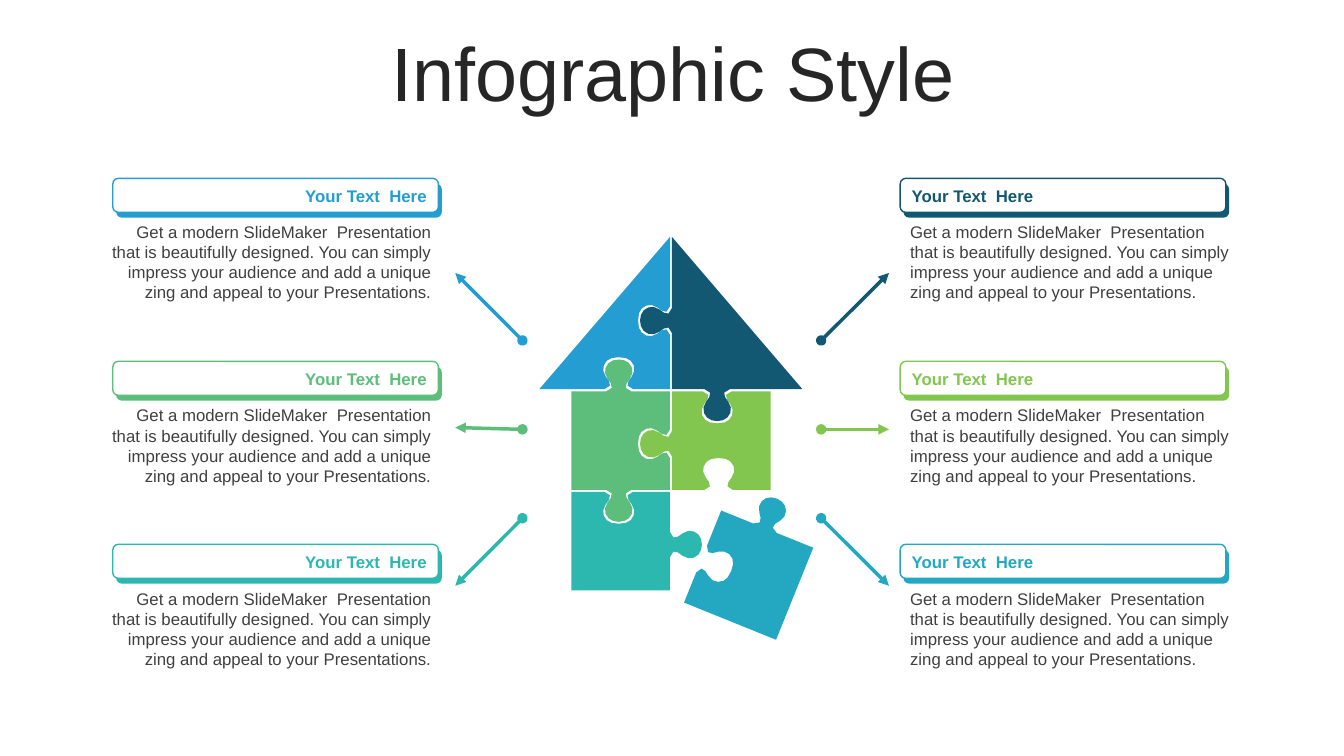
import math

import lxml.etree
import pptx
import pptx.dml.color
import pptx.enum.shapes
import pptx.enum.text
import pptx.oxml.ns
import pptx.util

Pt = pptx.util.Pt
ALIGN = pptx.enum.text.PP_ALIGN
SHAPE = pptx.enum.shapes.MSO_SHAPE
BLUE, NAVY, GREEN = "249ED2", "135873", "5CBE7A"
LIME, TEAL, CYAN = "82C650", "2CB8AE", "24A8C2"
HEADING = "Your Text  Here"
DESCRIPTION = ("Get a modern SlideMaker  Presentation that is beautifully designed. "
               "You can simply impress your audience and add a unique zing and "
               "appeal to your Presentations.")
GAP = 1.3
TAB, SOCKET = 1, -1
KNOB_START = (-9, 0)
KNOB_CURVES = [
    (1, (-8, 0), (-6, 1), (-5, 2.5)),
    (2, (-4.4, 4.5), (-6.4, 7), (-8, 9)),
    (2, (-10, 11.2), (-10.2, 14.8), (-9.4, 17)),
    (3, (-8, 21), (-4, 22.8), (0, 22.8)),
]


def rgb(color):
    """Return a colour object for a hex string."""
    return pptx.dml.color.RGBColor.from_string(color)


def style_shape(s, fill, line=None):
    """Give a shape a flat fill and an optional outline."""
    s.shadow.inherit = False
    s.fill.solid()
    s.fill.fore_color.rgb = rgb(fill)
    if line:
        s.line.color.rgb = rgb(line)
        s.line.width = Pt(1)
    else:
        s.line.fill.background()


def write_text(s, text, size, color, align, bold=False):
    """Write one formatted paragraph into a shape and return it."""
    tf = s.text_frame
    tf.word_wrap = True
    tf.text = text
    p = tf.paragraphs[0]
    p.alignment = align
    r = p.runs[0]
    r.font.name = "Arial"
    r.font.size = Pt(size)
    r.font.bold = bold
    r.font.color.rgb = rgb(color)
    return p


def add_title(slide, text):
    """Add the centred slide title."""
    s = slide.shapes.add_textbox(Pt(25), Pt(26.6), Pt(911.5), Pt(57))
    p = write_text(s, text, 54, "262626", ALIGN.CENTER)
    p.line_spacing = 0.9
    p.space_before = Pt(10)
    s.text_frame.vertical_anchor = pptx.enum.text.MSO_ANCHOR.MIDDLE


def add_header(slide, x, y, color, align):
    """Add a rounded white label over its coloured offset bar."""
    shapes = slide.shapes
    bar = shapes.add_shape(SHAPE.ROUNDED_RECTANGLE, Pt(x + 2.4), Pt(y + 3.8), Pt(232.6), Pt(24.3))
    style_shape(bar, color)
    label = shapes.add_shape(SHAPE.ROUNDED_RECTANGLE, Pt(x), Pt(y), Pt(232.6), Pt(24.3))
    style_shape(label, "FFFFFF", color)
    write_text(label, HEADING, 12, color, align, True)


def add_description(slide, x, y, align):
    """Add a block of body text."""
    s = slide.shapes.add_textbox(Pt(x), Pt(y), Pt(244), Pt(65.5))
    write_text(s, DESCRIPTION, 12, "404040", align)


def add_arrow(slide, start, end, color):
    """Add an arrow with a round tail."""
    ends = [Pt(v) for v in (*start, *end)]
    c = slide.shapes.add_connector(pptx.enum.shapes.MSO_CONNECTOR.STRAIGHT, *ends)
    c.line.color.rgb = rgb(color)
    c.line.width = Pt(2.5)
    qn = pptx.oxml.ns.qn
    ln = c.line._get_or_add_ln()
    lxml.etree.SubElement(ln, qn("a:headEnd"), type="oval")
    lxml.etree.SubElement(ln, qn("a:tailEnd"), type="triangle")
    lxml.etree.SubElement(c._element.spPr, qn("a:effectLst"))


def bezier(steps, *controls):
    """Sample a cubic curve after its start point."""
    points = []
    for i in range(1, steps + 1):
        t = i / steps
        weights = ((1 - t) ** 3, 3 * t * (1 - t) ** 2, 3 * t * t * (1 - t), t ** 3)
        points.append(tuple(sum(w * q[k] for w, q in zip(weights, controls))
                            for k in (0, 1)))
    return points


def knob(kind):
    """Return a knob outline as offsets along and out of an edge."""
    half = [KNOB_START]
    for steps, *controls in KNOB_CURVES:
        half += bezier(steps, half[-1], *controls)
    mirrored = [(-u, v) for u, v in reversed(half[:-1])]
    if kind == TAB:
        return half + mirrored
    return [(u + math.copysign(GAP, u) * (u != 0), -v) for u, v in half + mirrored]


def square(x, y, side, angle=0):
    """Return clockwise corners of a square turned about its first corner."""
    dx, dy = side * math.cos(math.radians(angle)), side * math.sin(math.radians(angle))
    return [(x, y), (x + dx, y + dy), (x + dx - dy, y + dy + dx), (x - dy, y + dx)]


def add_piece(slide, corners, knobs, color):
    """Add a puzzle piece; knobs maps an edge to its distance and kind."""
    points = []
    for i, (x, y) in enumerate(corners):
        points.append((x, y))
        if i in knobs:
            distance, kind = knobs[i]
            x2, y2 = corners[(i + 1) % len(corners)]
            length = math.hypot(x2 - x, y2 - y)
            dx, dy = (x2 - x) / length, (y2 - y) / length
            points += [(x + dx * (distance + u) + dy * v, y + dy * (distance + u) - dx * v)
                       for u, v in knob(kind)]
    points = [(Pt(x), Pt(y)) for x, y in points]
    builder = slide.shapes.build_freeform(*points[0])
    builder.add_line_segments(points[1:], close=True)
    style_shape(builder.convert_to_shape(), color)


def add_house(slide):
    """Add the six puzzle pieces of the house."""
    left, right, side = 408.2, 480, 70.4
    wall, base, apex, eaves = 279.6, 351.3, 169.2, 278
    seam = left + side
    add_piece(slide, square(left, wall, side),
              {0: (33.8, TAB), 1: (37.4, SOCKET), 2: (36.6, TAB)}, GREEN)
    add_piece(slide, square(515.2, 364.7, 70.9, 22),
              {0: (33.7, TAB), 3: (33.5, SOCKET)}, CYAN)
    add_piece(slide, square(right, wall, side),
              {0: (32.3, SOCKET), 2: (37, SOCKET), 3: (33, TAB)}, LIME)
    add_piece(slide, square(left, base, side), {0: (33.8, SOCKET), 1: (37.7, TAB)}, TEAL)
    add_piece(slide, [(seam, apex), (seam, eaves), (385.2, eaves)],
              {0: (59.8, SOCKET), 1: (36.6, SOCKET)}, BLUE)
    add_piece(slide, [(right, apex), (573.2, eaves), (right, eaves)],
              {1: (60.9, TAB), 2: (49, TAB)}, NAVY)


def main():
    """Build and save the slide."""
    prs = pptx.Presentation()
    prs.slide_width, prs.slide_height = Pt(960), Pt(540)
    slide = prs.slides.add_slide(prs.slide_layouts[6])
    add_title(slide, "Infographic Style")
    add_house(slide)
    columns = [
        (80.6, 71.3, 373.2, 325.2, ALIGN.RIGHT, (BLUE, GREEN, TEAL), (195, 305.4, 418.4)),
        (643, 643, 586.6, 635, ALIGN.LEFT, (NAVY, LIME, CYAN), (195, 306.7, 418.4)),
    ]
    for header_x, text_x, start_x, end_x, align, colors, end_ys in columns:
        for row, (color, end_y) in enumerate(zip(colors, end_ys)):
            add_header(slide, header_x, 127.4 + 130.7 * row, color, align)
            add_description(slide, text_x, 154.8 + 131 * row, align)
            add_arrow(slide, (start_x, 243.2 + 63.5 * row), (end_x, end_y), color)
    prs.save("out.pptx")


if __name__ == "__main__":
    main()
